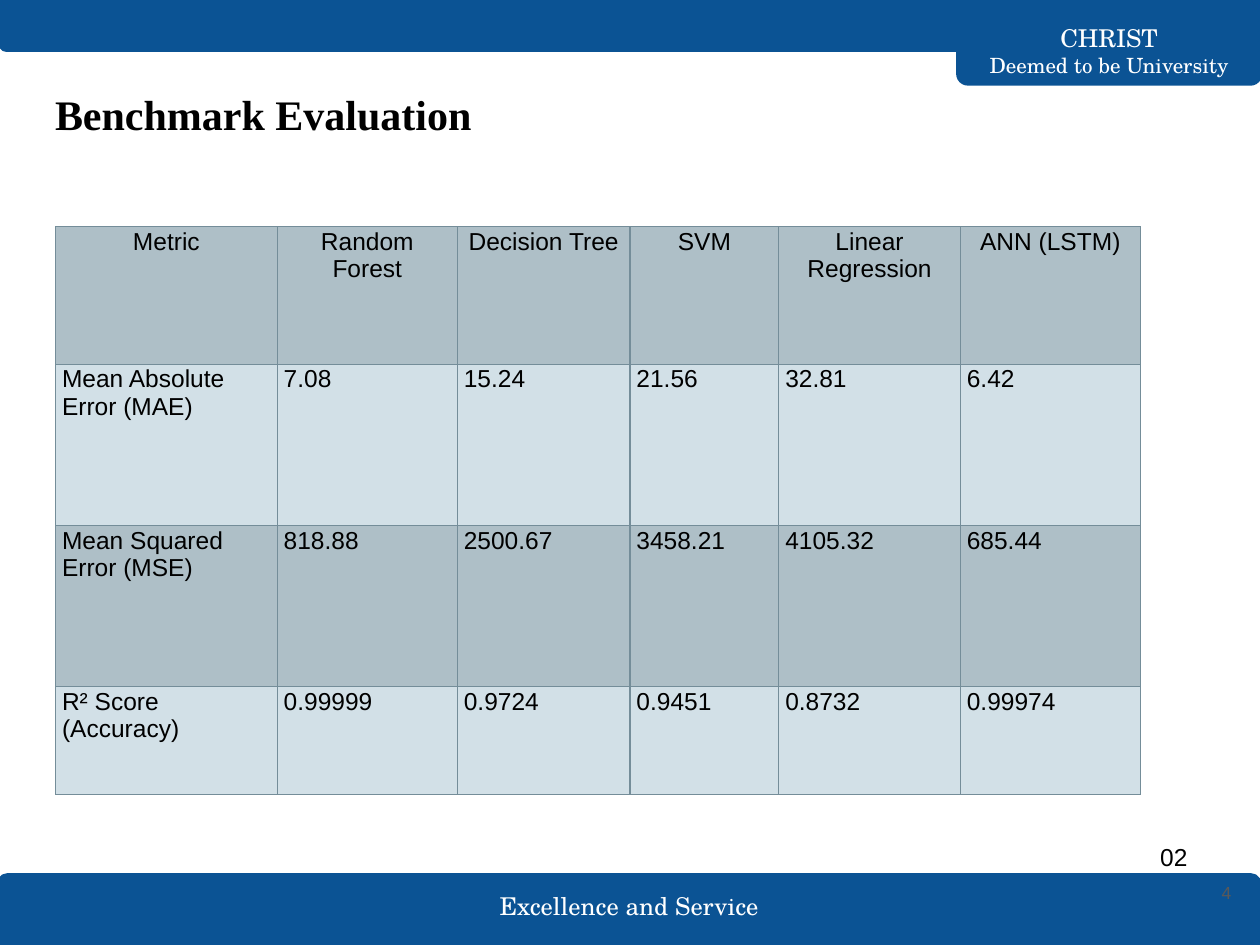
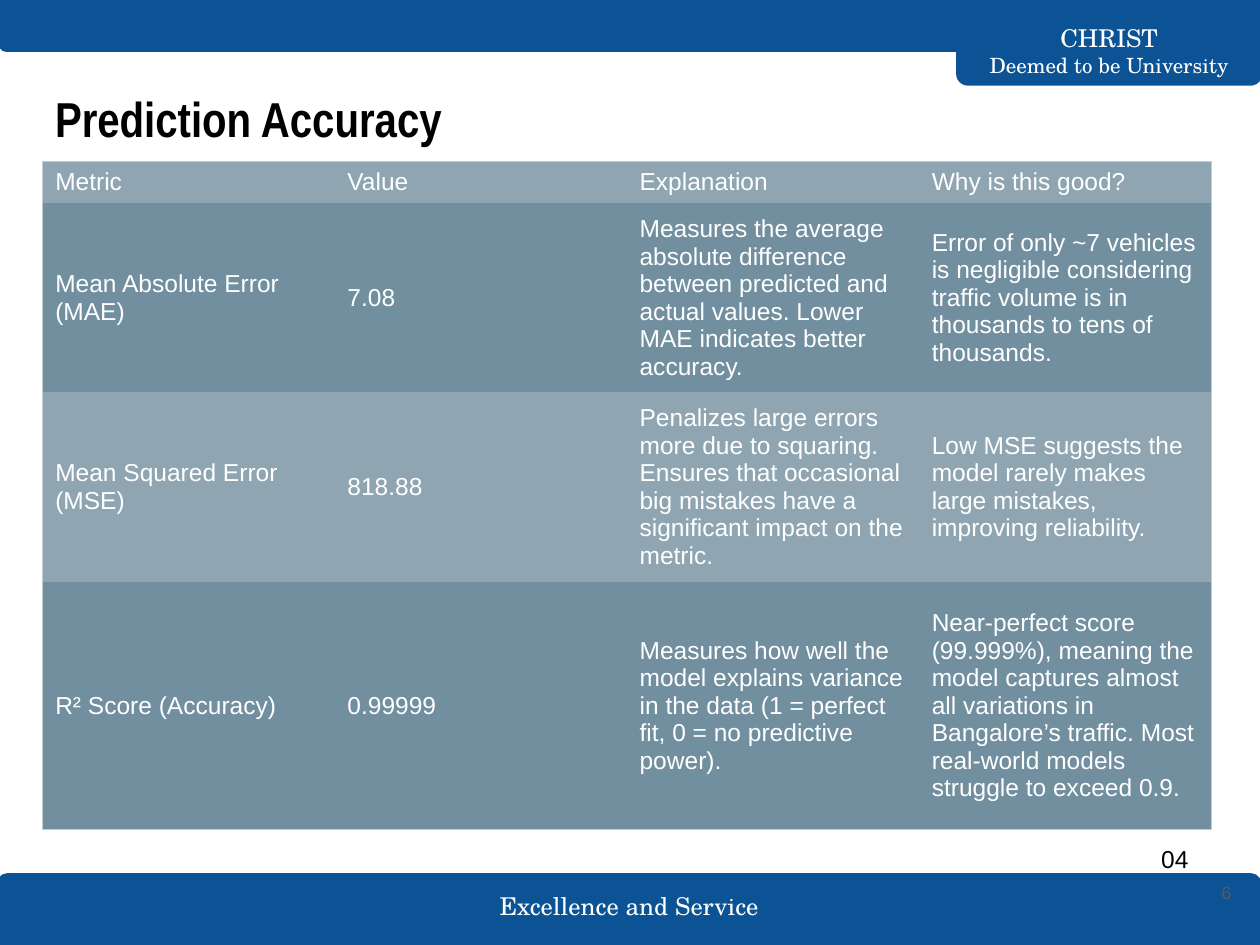
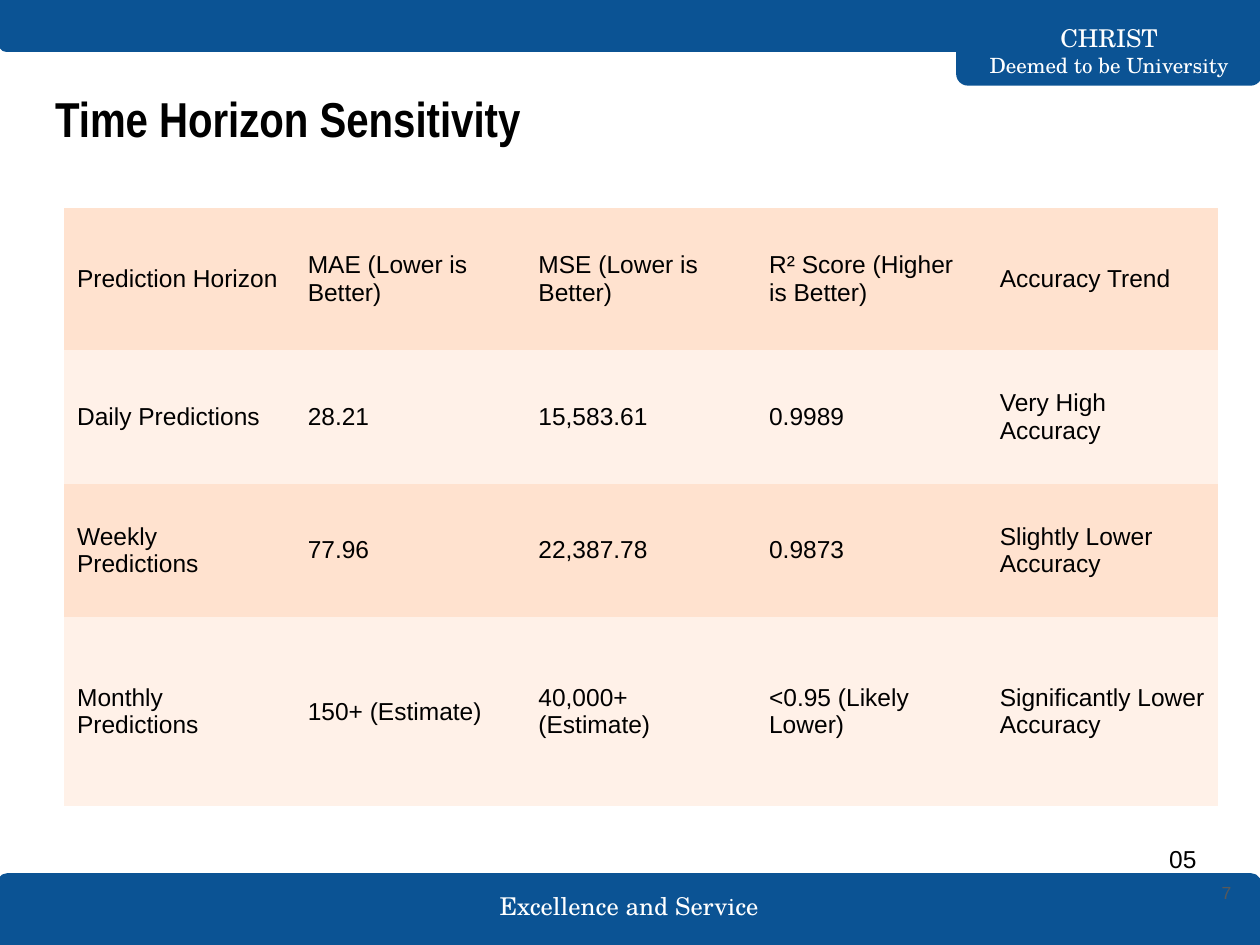
from lxml.etree import SubElement
from pptx import Presentation
from pptx.dml.color import RGBColor
from pptx.enum.shapes import MSO_SHAPE
from pptx.enum.text import MSO_ANCHOR, PP_ALIGN
from pptx.oxml.ns import qn
from pptx.util import Cm, Pt

BAND_BLUE = RGBColor(0x0B, 0x53, 0x94)
WHITE = RGBColor(0xFF, 0xFF, 0xFF)
BLACK = RGBColor(0, 0, 0)
NUMBER_GREY = RGBColor(0x59, 0x59, 0x59)
GRID_SLATE = RGBColor(0x74, 0x8D, 0x99)
FRAME_GREY = RGBColor(0xC5, 0xCC, 0xD1)
MIST_DARK = RGBColor(0xAE, 0xBF, 0xC7)
MIST_LIGHT = RGBColor(0xD2, 0xE0, 0xE7)
SLATE_LIGHT = RGBColor(0x8F, 0xA6, 0xB2)
SLATE_DARK = RGBColor(0x71, 0x8F, 0x9F)
PEACH_DARK = RGBColor(0xFF, 0xE2, 0xCF)
PEACH_LIGHT = RGBColor(0xFF, 0xF1, 0xE8)

NO_TABLE_STYLE = "{2D5ABB26-0587-4C30-8999-92F81FD0307C}"
BODY = {"name": "Arial", "size": Pt(14)}
SCHOLA = {"name": "TeX Gyre Schola", "size": Pt(14)}
SCHOLA_SMALL = SCHOLA | {"size": Pt(12)}
SERIF_TITLE = {"name": "Times New Roman", "size": Pt(24), "bold": True}
NARROW_TITLE = {"name": "Arial Narrow", "size": Pt(28), "bold": True}
NUMBER = {"name": "Arial", "size": Pt(10)}

TITLE_BOX = (0.86, 1.65, 23.67, 2.11)
FOOTER_BOX = (-0.03, 17.63, 25.43, 1.42)
TOP_BOX = (0, 0, 25.43, 1.02)
NAME_BOX = (19.3, 0, 6.12, 1.7)
NUMBER_BOX = (23.3, 17.6, 1.77, 0.8)

BENCHMARK = [
    ["Metric", "Random Forest", "Decision Tree", "SVM", "Linear Regression", "ANN (LSTM)"],
    ["Mean Absolute Error (MAE)", "7.08", "15.24", "21.56", "32.81", "6.42"],
    ["Mean Squared Error (MSE)", "818.88", "2500.67", "3458.21", "4105.32", "685.44"],
    ["R² Score (Accuracy)", "0.99999", "0.9724", "0.9451", "0.8732", "0.99974"],
]
ACCURACY = [
    ["Metric", "Value", "Explanation", "Why is this good?"],
    ["Mean Absolute Error (MAE)", "7.08",
     "Measures the average absolute difference between predicted and actual values. "
     "Lower MAE indicates better accuracy.",
     "Error of only ~7 vehicles is negligible considering traffic volume is in "
     "thousands to tens of thousands."],
    ["Mean Squared Error (MSE)", "818.88",
     "Penalizes large errors more due to squaring. Ensures that occasional big "
     "mistakes have a significant impact on the metric.",
     "Low MSE suggests the model rarely makes large mistakes, improving reliability."],
    ["R² Score (Accuracy)", "0.99999",
     "Measures how well the model explains variance in the data (1 = perfect fit, "
     "0 = no predictive power).",
     "Near-perfect score (99.999%), meaning the model captures almost all variations "
     "in Bangalore’s traffic. Most real-world models struggle to exceed 0.9."],
]
HORIZON = [
    ["Prediction Horizon", "MAE (Lower is Better)", "MSE (Lower is Better)",
     "R² Score (Higher is Better)", "Accuracy Trend"],
    ["Daily Predictions", "28.21", "15,583.61", "0.9989", "Very High Accuracy"],
    ["Weekly Predictions", "77.96", "22,387.78", "0.9873", "Slightly Lower Accuracy"],
    ["Monthly Predictions", "150+ (Estimate)", "40,000+ (Estimate)",
     "<0.95 (Likely Lower)", "Significantly Lower Accuracy"],
]


def apply_format(target, values):
    """Set each named attribute of the target."""
    for name, value in values.items():
        setattr(target, name, value)


def write_run(paragraph, text, font, color):
    """Append one formatted run."""
    run = paragraph.add_run()
    run.text = text
    apply_format(run.font, font)
    run.font.color.rgb = color


def add_label(slide, box, lines, color, align=PP_ALIGN.LEFT, anchor=MSO_ANCHOR.TOP):
    """Place text lines, each a (text, font) pair, in the box."""
    frame = slide.shapes.add_textbox(*map(Cm, box)).text_frame
    apply_format(frame, {"word_wrap": True, "vertical_anchor": anchor})
    paragraph = frame.paragraphs[0]
    paragraph.alignment = align
    for position, (text, font) in enumerate(lines):
        if position:
            paragraph.add_line_break()
        write_run(paragraph, text, font, color)


def add_band(slide, box, rotation=0):
    """Place a blue band with two rounded corners."""
    band = slide.shapes.add_shape(MSO_SHAPE.ROUND_2_SAME_RECTANGLE, *map(Cm, box))
    band.adjustments[0] = 0.125
    band.rotation = rotation
    band.shadow.inherit = False
    band.fill.solid()
    band.fill.fore_color.rgb = BAND_BLUE
    band.line.color.rgb = BAND_BLUE
    band.line.width = Pt(1.5)


def add_footer(slide, box):
    """Place the bottom band and its motto."""
    left, top, width, height = box
    add_band(slide, box)
    motto_width = 6.83
    add_label(slide, (left + (width - motto_width) / 2, top + 0.23, motto_width, 0.81),
              [("Excellence and Service", SCHOLA)], WHITE,
              PP_ALIGN.CENTER, MSO_ANCHOR.MIDDLE)


def add_header(slide, bar, tab):
    """Place the top bar and the tab with the university name."""
    left, top, width, height = tab
    add_band(slide, tab, 180)
    add_band(slide, bar, 180)
    add_label(slide, (left, top + 0.69, width, 0.64),
              [("CHRIST", SCHOLA), ("Deemed to be University", SCHOLA_SMALL)],
              WHITE, PP_ALIGN.CENTER, MSO_ANCHOR.MIDDLE)


def add_border(cell, sides, color):
    """Draw thin lines on the given cell sides, in L, R, T, B order."""
    properties = cell._tc.get_or_add_tcPr()
    for position, side in enumerate(sides):
        line = SubElement(properties, qn(f"a:ln{side}"), w=str(Pt(0.75)))
        solid = SubElement(line, qn("a:solidFill"))
        SubElement(solid, qn("a:srgbClr"), val=str(color))
        properties.insert(position, line)


def add_metric_table(slide, corner, columns, heights, rows, fills, text_color=BLACK,
                     cell_format=None, header_align=PP_ALIGN.LEFT,
                     frame_color=None, grid_color=None):
    """Place a banded table at the corner, with an optional frame or full grid."""
    left, top = corner
    table = slide.shapes.add_table(len(rows), len(columns), Cm(left), Cm(top),
                                   Cm(sum(columns)), Cm(sum(heights))).table
    table._tbl.tblPr.find(qn("a:tableStyleId")).text = NO_TABLE_STYLE
    apply_format(table, {"first_row": False, "horz_banding": False})
    for column, width in zip(table.columns, columns):
        column.width = Cm(width)
    for row, height in zip(table.rows, heights):
        row.height = Cm(height)
    last_row, last_column = len(rows) - 1, len(columns) - 1
    for r, values in enumerate(rows):
        for c, value in enumerate(values):
            cell = table.cell(r, c)
            apply_format(cell, cell_format or {"vertical_anchor": MSO_ANCHOR.MIDDLE})
            cell.fill.solid()
            cell.fill.fore_color.rgb = fills[r % 2]
            paragraph = cell.text_frame.paragraphs[0]
            paragraph.alignment = PP_ALIGN.LEFT if r else header_align
            write_run(paragraph, value, BODY, text_color)
            if grid_color:
                add_border(cell, "LRTB", grid_color)
            elif frame_color:
                edges = {"L": c == 0, "R": c == last_column,
                         "T": r == 0, "B": r == last_row}
                add_border(cell, [side for side, outer in edges.items() if outer],
                           frame_color)


def add_page(deck, title, title_font, number, label, label_box):
    """Add a slide with the shared bands, title and page labels."""
    slide = deck.slides.add_slide(deck.slide_layouts[6])
    add_footer(slide, FOOTER_BOX)
    add_header(slide, TOP_BOX, NAME_BOX)
    add_label(slide, NUMBER_BOX, [(number, NUMBER)], NUMBER_GREY,
              PP_ALIGN.RIGHT, MSO_ANCHOR.MIDDLE)
    add_label(slide, TITLE_BOX, [(title, title_font)], BLACK)
    add_label(slide, label_box, [(label, BODY)], BLACK)
    return slide


def main():
    """Build and save the three slides."""
    deck = Presentation()
    apply_format(deck, {"slide_width": Cm(25.4), "slide_height": Cm(19.05)})

    benchmark = add_page(deck, "Benchmark Evaluation", SERIF_TITLE, "4",
                         "02", (23.14, 16.84, 1.2, 0.86))
    tight = {"margin_left": Cm(0.13), "margin_right": Cm(0.13),
             "margin_top": Cm(0.03), "margin_bottom": Cm(0.03)}
    add_metric_table(benchmark, (1.12, 4.57), [4.47, 3.63, 3.48, 3, 3.66, 3.63],
                     [2.77, 3.25, 3.25, 2.18], BENCHMARK, (MIST_DARK, MIST_LIGHT),
                     cell_format=tight, header_align=PP_ALIGN.CENTER,
                     grid_color=GRID_SLATE)

    accuracy = add_page(deck, "Prediction Accuracy", NARROW_TITLE, "6",
                        "04", (23.16, 16.89, 1.27, 0.86))
    add_metric_table(accuracy, (0.86, 3.25), [5.89] * 4, [0.64, 2.87, 3.33, 5],
                     ACCURACY, (SLATE_LIGHT, SLATE_DARK), WHITE,
                     frame_color=FRAME_GREY)

    horizon = add_page(deck, "Time Horizon Sensitivity", NARROW_TITLE, "7",
                       "05", (23.32, 16.89, 1.3, 0.86))
    add_metric_table(horizon, (1.3, 4.19), [4.65] * 5, [2.87, 2.69, 2.69, 3.81],
                     HORIZON, (PEACH_DARK, PEACH_LIGHT))

    deck.save("out.pptx")


if __name__ == "__main__":
    main()
